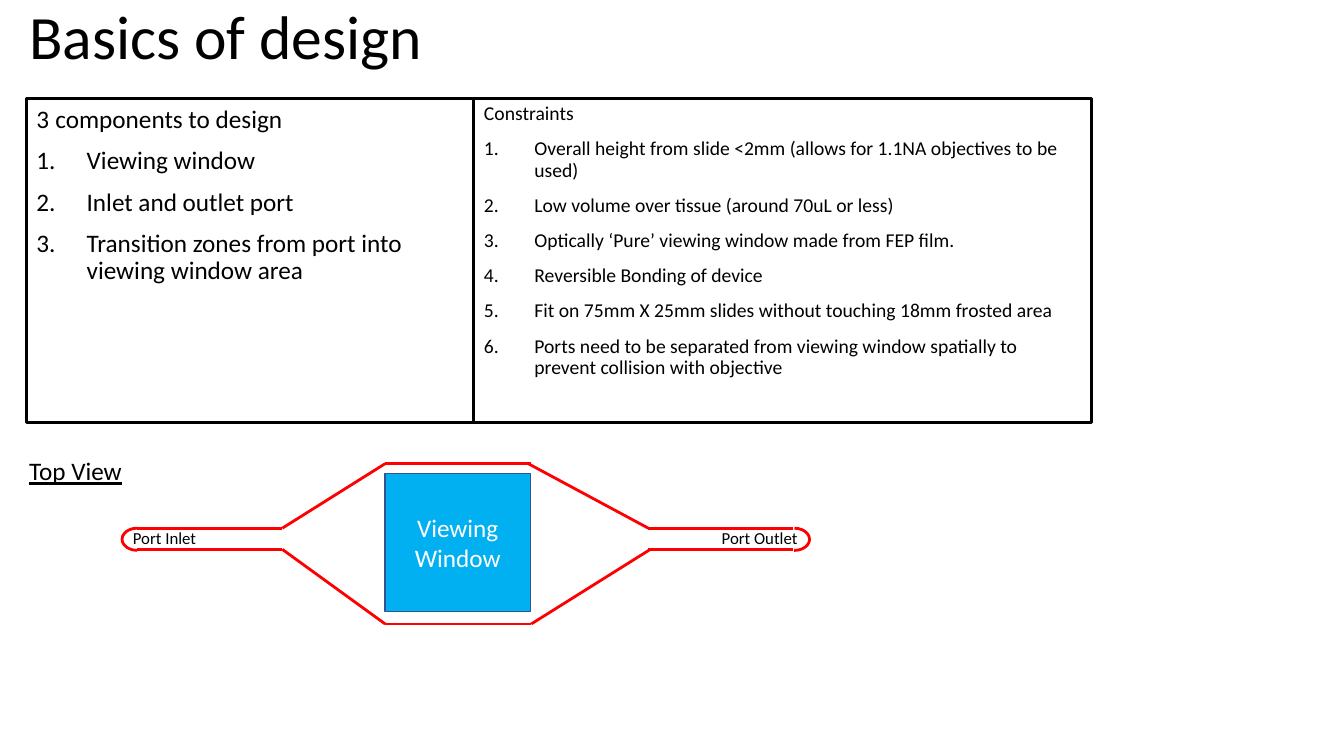
from dataclasses import dataclass
from lxml import etree
from pptx import Presentation, util as u
from pptx.dml.color import RGBColor
from pptx.enum import shapes, text
from pptx.oxml.ns import qn


@dataclass(frozen=True)
class Theme:
    """Colours, type sizes and line widths of the slide."""
    font: str = "Calibri"
    ink: str = "000000"
    wall: str = "FF0000"
    glass: str = "00B0F0"
    edge: str = "325491"
    white: str = "FFFFFF"
    title: int = 44
    large: int = 18
    gap: int = 20
    mid: int = 14
    small: int = 12
    stroke: int = 2


T = Theme()
TITLE = "Basics of design"
PARTS = ["Viewing window", "Inlet and outlet port",
         "Transition zones from port into viewing window area"]
LIMITS = ["Overall height from slide <2mm (allows for 1.1NA objectives to be used)",
          "Low volume over tissue (around 70uL or less)",
          "Optically ‘Pure’ viewing window made from FEP film.",
          "Reversible Bonding of device",
          "Fit on 75mm X 25mm slides without touching 18mm frosted area",
          "Ports need to be separated from viewing window spatially to "
          "prevent collision with objective"]
# heading runs, numbered items, type size, left, width
PANELS = [([("3", T.large), (" ", T.gap), ("components to design", T.large)],
           PARTS, T.large, 0.26, 4.44),
          ([("Constraints", T.mid)], LIMITS, T.mid, 4.7, 6.13)]
# text, type size, underline, box
LABELS = [("Top View", T.large, True, (0.19, 4.47, 1.13, 0.4)),
          ("Port Inlet", T.small, False, (1.22, 5.19, 0.84, 0.3)),
          ("Port Outlet", T.small, False, (7.06, 5.19, 0.96, 0.3))]
# port tip, port mouth, cap left, cap turn
PORTS = [(1.36, 2.8, 1.21, 180), (7.87, 6.43, 7.73, 0)]
HIGH, LOW = 5.24, 5.45
ROOF, FLOOR = 4.6, 6.19
WINDOW = (3.82, 4.7, 1.44, 1.37)
WEST, EAST = 3.82, 5.27
WALLS = [(WEST, ROOF, EAST, ROOF), (WEST, FLOOR, EAST, FLOOR),
         (2.8, HIGH, WEST, ROOF), (2.8, LOW, WEST, FLOOR),
         (5.24, ROOF, 6.43, HIGH), (EAST, FLOOR, 6.45, LOW)]


def inch(box):
    """Turn numbers into lengths."""
    return [u.Inches(n) for n in box]


def place(shape, box):
    """Move and size a shape."""
    shape.left, shape.top, shape.width, shape.height = inch(box)


def write(para, words, size, color=T.ink, under=None, align=None,
          tight=False, before=None):
    """Add a formatted run and set the format of its paragraph."""
    run = para.add_run()
    run.text = words
    font = run.font
    font.name, font.size, font.underline = T.font, u.Pt(size), under
    font.color.rgb = RGBColor.from_string(color)
    if align is not None:
        para.alignment = align
    if tight:
        para.line_spacing = 0.9
    if before is not None:
        para.space_before = u.Pt(before)


def mark(para, number):
    """Number a paragraph, or clear its bullet and indent."""
    props = para._p.get_or_add_pPr()
    dent = u.Inches(0.5) if number else 0
    props.set("marL", str(dent))
    props.set("indent", str(-dent))
    if number:
        etree.SubElement(props, qn("a:buFont"), typeface=T.font)
        etree.SubElement(props, qn("a:buAutoNum"), type="arabicPeriod")
    else:
        etree.SubElement(props, qn("a:buNone"))


def outline(shape, color, width):
    """Set the line of a shape or connector."""
    shape.line.color.rgb = RGBColor.from_string(color)
    shape.line.width = u.Pt(width)


def wall(slide, ends):
    """Draw one straight wall of the channel."""
    line = slide.shapes.add_connector(shapes.MSO_CONNECTOR.STRAIGHT, *inch(ends))
    outline(line, T.wall, T.stroke)
    etree.SubElement(line._element.spPr, qn("a:effectLst"))


def panel(holder, head, items, size, left, width):
    """Fill a framed body with a heading and a numbered list."""
    place(holder, (left, 0.98, width, 3.21))
    outline(holder, T.ink, T.stroke)
    frame = holder.text_frame
    frame.auto_size = text.MSO_AUTO_SIZE.NONE
    para = frame.paragraphs[0]
    for words, points in head:
        write(para, words, points, tight=True, before=10)
    mark(para, False)
    for item in items:
        para = frame.add_paragraph()
        write(para, item, size, tight=True, before=10)
        mark(para, True)


def port(slide, tip, mouth, left, turn):
    """Draw a port: two walls and a round cap."""
    for level in (HIGH, LOW):
        wall(slide, (tip, level, mouth, level))
    cap = slide.shapes.add_shape(shapes.MSO_SHAPE.ARC,
                                 *inch((left, HIGH, 0.3, 0.22)))
    cap.adjustments[0], cap.adjustments[1] = 162, 55.24
    cap.rotation = turn
    cap.shadow.inherit = False
    cap.fill.background()
    outline(cap, T.wall, T.stroke)


def window(slide):
    """Draw the viewing window."""
    pane = slide.shapes.add_shape(shapes.MSO_SHAPE.RECTANGLE, *inch(WINDOW))
    pane.shadow.inherit = False
    pane.fill.solid()
    pane.fill.fore_color.rgb = RGBColor.from_string(T.glass)
    outline(pane, T.edge, 1)
    frame = pane.text_frame
    frame.word_wrap = True
    frame.vertical_anchor = text.MSO_ANCHOR.MIDDLE
    write(frame.paragraphs[0], "Viewing Window", T.large, color=T.white,
          align=text.PP_ALIGN.CENTER)


def label(slide, words, size, under, box):
    """Add a one-line label."""
    frame = slide.shapes.add_textbox(*inch(box)).text_frame
    frame.word_wrap = False
    frame.auto_size = text.MSO_AUTO_SIZE.SHAPE_TO_FIT_TEXT
    write(frame.paragraphs[0], words, size, under=under)


def main():
    """Build and save the slide."""
    deck = Presentation()
    deck.slide_width, deck.slide_height = inch((13.33, 7.5))
    slide = deck.slides.add_slide(deck.slide_layouts[3])
    title, *bodies = slide.placeholders
    place(title, (0.19, 0, 11.5, 0.79))
    title.text_frame.auto_size = text.MSO_AUTO_SIZE.NONE
    title.text_frame.vertical_anchor = text.MSO_ANCHOR.MIDDLE
    write(title.text_frame.paragraphs[0], TITLE, T.title,
          align=text.PP_ALIGN.LEFT, tight=True)
    for holder, data in zip(bodies, PANELS):
        panel(holder, *data)
    for data in PORTS:
        port(slide, *data)
    for ends in WALLS:
        wall(slide, ends)
    window(slide)
    for data in LABELS:
        label(slide, *data)
    deck.save("out.pptx")


main()
